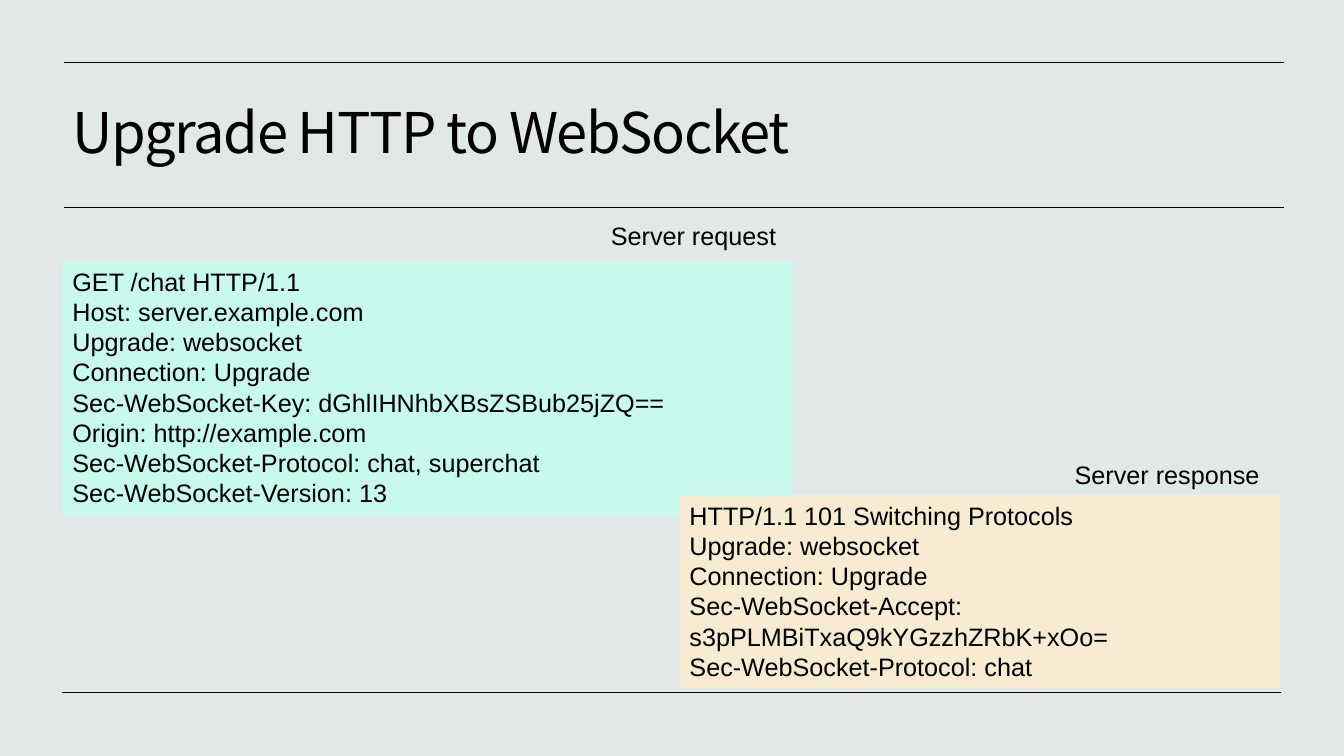
"""Build the slide on upgrading HTTP to WebSocket."""
from lxml.etree import SubElement
from pptx import Presentation
from pptx.dml.color import RGBColor
from pptx.enum.shapes import MSO_CONNECTOR, MSO_SHAPE
from pptx.enum.text import MSO_ANCHOR, PP_ALIGN
from pptx.oxml.ns import qn
from pptx.util import Inches, Pt

COLORS = {"back": "E2E7E8", "ink": "000000", "mint": "C7F9ED", "sand": "F7EBD2"}
TITLE = "Upgrade HTTP to WebSocket"
REQUEST = [
    "GET /chat HTTP/1.1",
    "Host: server.example.com",
    "Upgrade: websocket",
    "Connection: Upgrade",
    "Sec-WebSocket-Key: dGhlIHNhbXBsZSBub25jZQ==",
    "Origin: http://example.com",
    "Sec-WebSocket-Protocol: chat, superchat",
    "Sec-WebSocket-Version: 13",
]
RESPONSE = [
    "HTTP/1.1 101 Switching Protocols",
    "Upgrade: websocket",
    "Connection: Upgrade",
    "Sec-WebSocket-Accept: s3pPLMBiTxaQ9kYGzzhZRbK+xOo=",
    "Sec-WebSocket-Protocol: chat",
]
RULES = [(12.71, 0.62, 6.87), (12.73, 0.63, 2.06), (12.73, 0.63, 0.62)]
PANELS = [
    (REQUEST, "mint", (0.62, 2.59, 7.24, 2.52)),
    (RESPONSE, "sand", (6.74, 4.91, 5.96, 1.92)),
]
LABELS = [("Server response", 10.56, 4.51), ("Server request", 5.96, 2.14)]


def color(name):
    return RGBColor.from_string(COLORS[name])


def write(shape, lines, size=18, face="Arial"):
    frame = shape.text_frame
    frame.word_wrap = True
    frame.text = "\n".join(lines)
    for para in frame.paragraphs:
        para.alignment = PP_ALIGN.LEFT
        para.font.size = Pt(size)
        para.font.name = face
        para.font.color.rgb = color("ink")
    return frame


def add_text(slide, box, lines, **style):
    return write(slide.shapes.add_textbox(*map(Inches, box)), lines, **style)


def add_rule(slide, start, end, top):
    rule = slide.shapes.add_connector(
        MSO_CONNECTOR.STRAIGHT, *map(Inches, (start, top, end, top)))
    rule.line.color.rgb = color("ink")
    rule.line.width = Pt(0.5)
    SubElement(rule._element.spPr, qn("a:effectLst"))


def add_title(slide):
    frame = add_text(slide, (0.62, 0.75, 12.08, 1.19), [TITLE],
                     size=40, face="Noto Sans CJK KR")
    frame.vertical_anchor = MSO_ANCHOR.MIDDLE
    para = frame.paragraphs[0]
    para.line_spacing = 0.9
    para.runs[0]._r.get_or_add_rPr().set("spc", "-100")


def add_panel(slide, lines, fill, box):
    panel = slide.shapes.add_shape(MSO_SHAPE.RECTANGLE, *map(Inches, box))
    panel.shadow.inherit = False
    panel.fill.solid()
    panel.fill.fore_color.rgb = color(fill)
    panel.line.fill.background()
    write(panel, lines).vertical_anchor = MSO_ANCHOR.TOP


def main():
    deck = Presentation()
    deck.slide_width, deck.slide_height = Inches(13.33), Inches(7.5)
    slide = deck.slides.add_slide(deck.slide_layouts[6])
    slide.background.fill.solid()
    slide.background.fill.fore_color.rgb = color("back")
    for rule in RULES:
        add_rule(slide, *rule)
    add_title(slide)
    for panel in PANELS:
        add_panel(slide, *panel)
    for label, left, top in LABELS:
        add_text(slide, (left, top, 2.08, 0.4), [label])
    deck.save("out.pptx")


if __name__ == "__main__":
    main()
